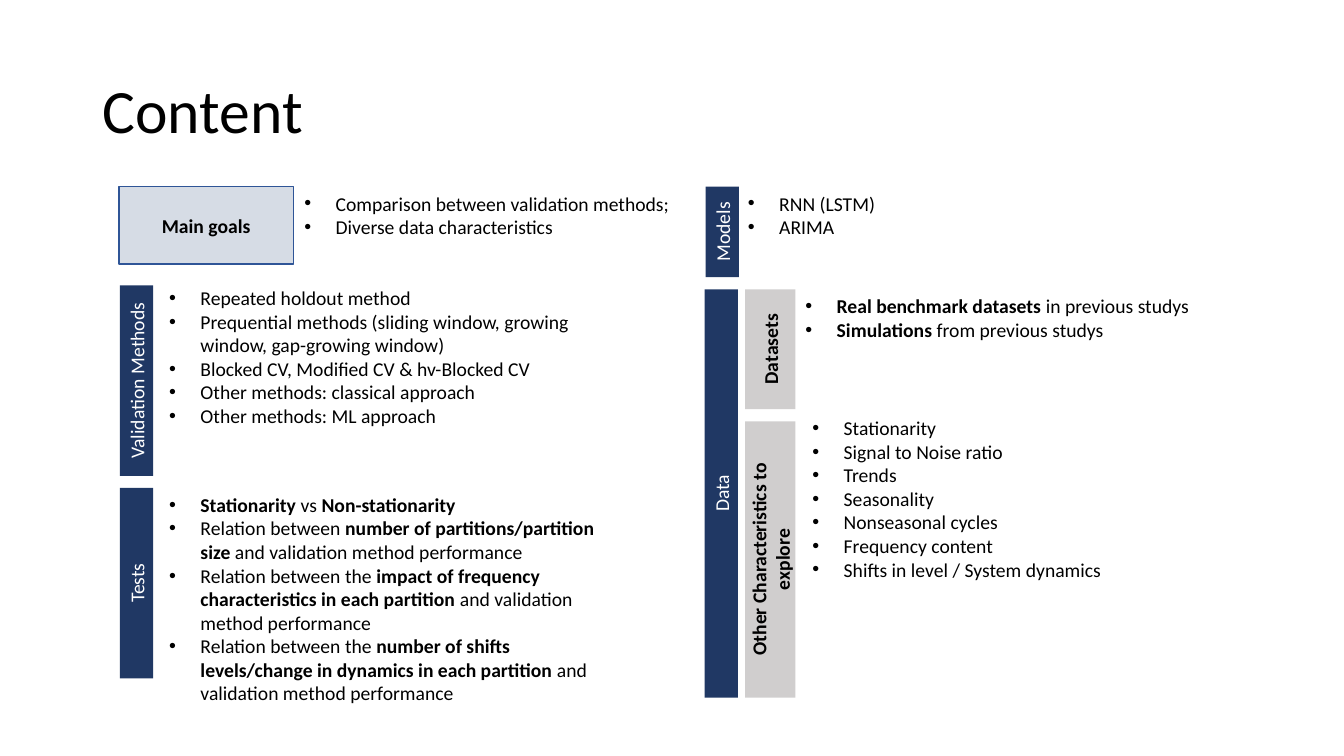
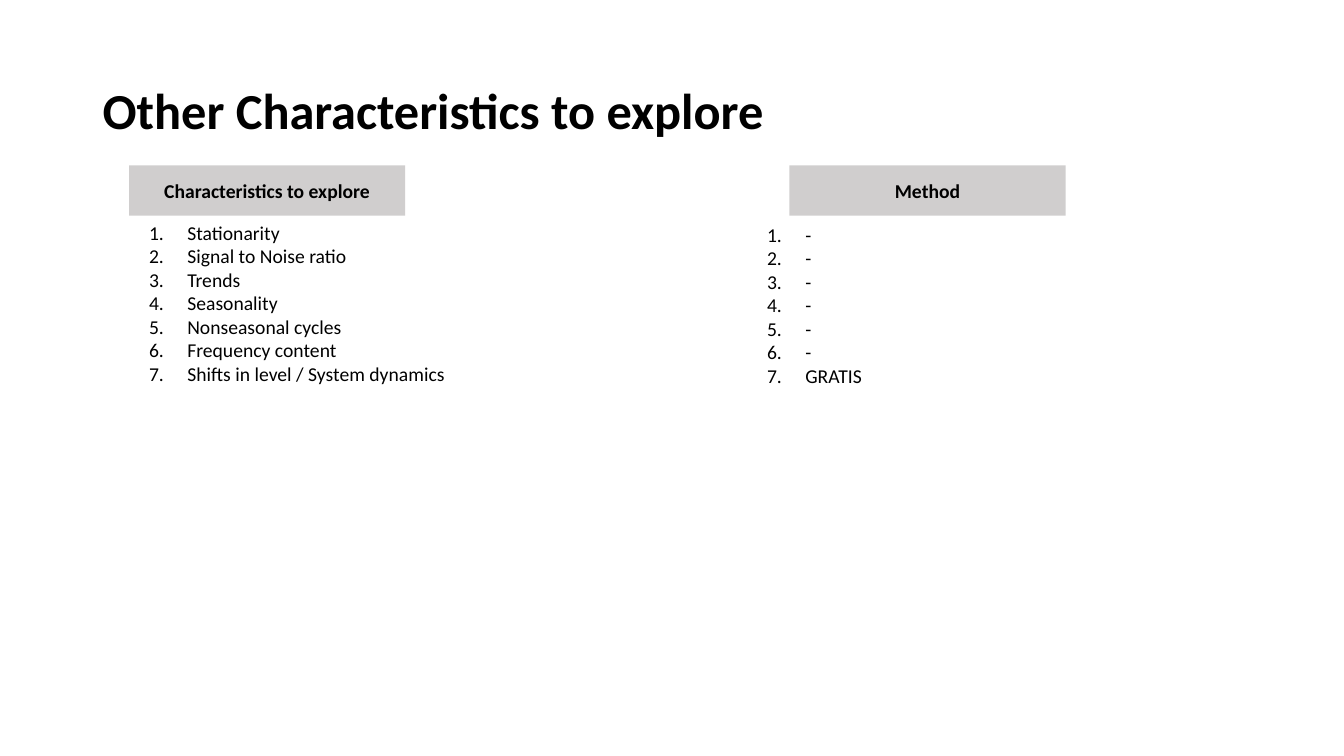
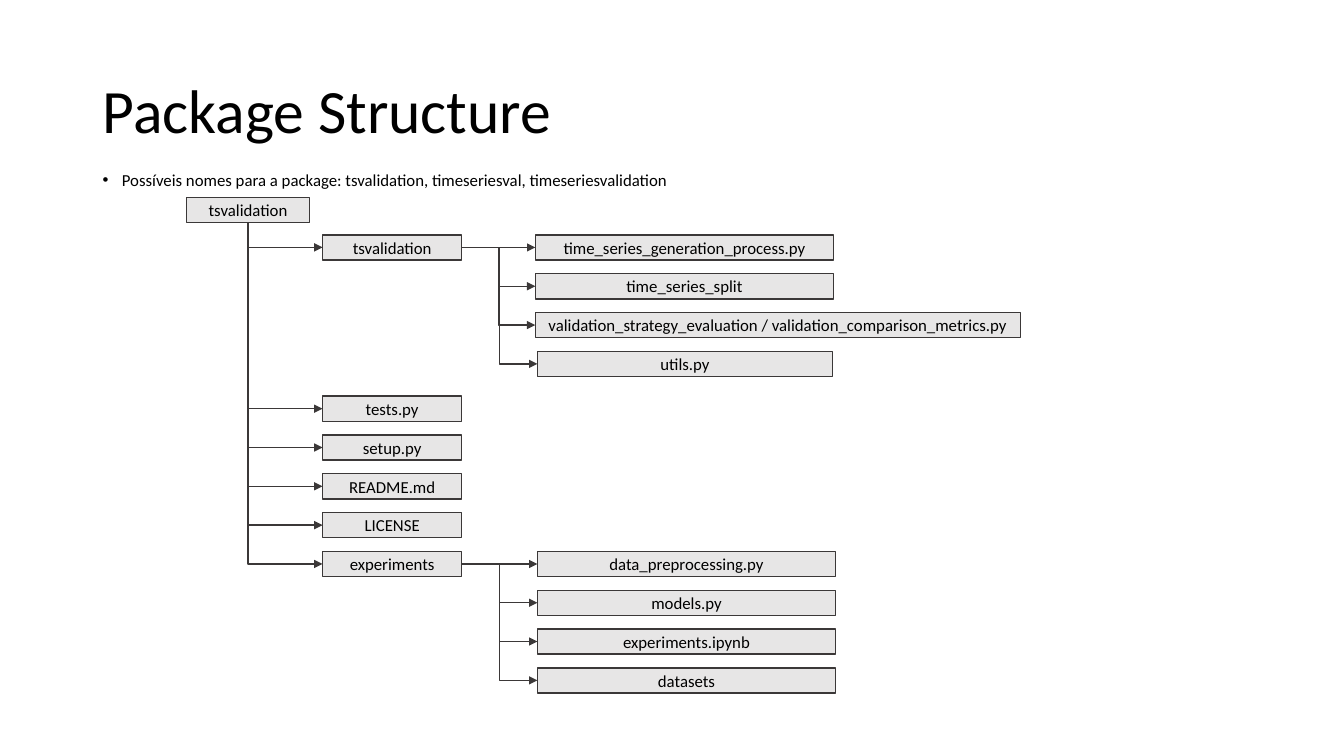
"""Build three slides on time series validation: content, characteristics and package structure."""
import pptx
import pptx.dml.color
import pptx.enum.shapes
import pptx.enum.text
import pptx.oxml.ns
import pptx.util
from lxml import etree

Inches = pptx.util.Inches
qn = pptx.oxml.ns.qn
CONNECTOR = pptx.enum.shapes.MSO_CONNECTOR
FONT = "Calibri"
BLACK, WHITE, NAVY = "000000", "FFFFFF", "203864"
PALE_BLUE, BLUE = "D6DCE5", "2F5597"
GRAY, PALE_GRAY, DARK_GRAY = "D0CECE", "E7E6E6", "3B3838"
TITLE = dict(x=0.92, y=0.4, w=11.5, h=1.45, size=44, middle=True, spacing=0.9)


def paint(target, color):
    """Give a fill or line format one solid colour."""
    target.solid()
    target.fore_color.rgb = pptx.dml.color.RGBColor.from_string(color)


def add_text(s, text, x, y, w, h, size=14, color=BLACK, fill=None, line=None,
             vertical=False, bullet=None, indent=0.31, middle=False, spacing=None):
    """Add a box of text lines; ** marks the start and end of bold."""
    if vertical:
        x, y, w, h = x + (w - h) / 2, y + (h - w) / 2, h, w
    box = Inches(x), Inches(y), Inches(w), Inches(h)
    if fill:
        sp = s.shapes.add_shape(pptx.enum.shapes.MSO_SHAPE.RECTANGLE, *box)
        sp.shadow.inherit = False
        paint(sp.fill, fill)
        if line:
            paint(sp.line.fill, line)
            sp.line.width = pptx.util.Pt(1)
        else:
            sp.line.fill.background()
    else:
        sp = s.shapes.add_textbox(*box)
    sp.rotation = 270 if vertical else 0
    tf = sp.text_frame
    tf.word_wrap = True
    anchor = pptx.enum.text.MSO_ANCHOR
    tf.vertical_anchor = anchor.MIDDLE if fill or middle else anchor.TOP
    for i, content in enumerate(text.split("\n")):
        p = tf.add_paragraph() if i else tf.paragraphs[0]
        align = pptx.enum.text.PP_ALIGN
        p.alignment = align.CENTER if fill else align.LEFT
        if spacing:
            p.line_spacing = spacing
        if bullet:
            pPr = p._p.get_or_add_pPr()
            pPr.set("marL", str(Inches(indent)))
            pPr.set("indent", str(-Inches(indent)))
            if bullet == "1.":
                etree.SubElement(pPr, qn("a:buAutoNum"), type="arabicPeriod")
            else:
                etree.SubElement(pPr, qn("a:buFont"), typeface="Arial")
                etree.SubElement(pPr, qn("a:buChar"), char=bullet)
        for j, part in enumerate(content.split("**")):
            if part:
                r = p.add_run()
                r.text = part
                r.font.name = FONT
                r.font.size = pptx.util.Pt(size)
                r.font.bold = j % 2 == 1
                paint(r.font.fill, color)
    return sp


prs = pptx.Presentation()
prs.slide_width, prs.slide_height = Inches(13.33), Inches(7.5)
blank = prs.slide_layouts[6]
characteristics = """Stationarity
Signal to Noise ratio
Trends
Seasonality
Nonseasonal cycles
Frequency content
Shifts in level / System dynamics"""

s = prs.slides.add_slide(blank)
add_text(s, "Content", **TITLE)
add_text(s, "**Main goals**", 1.18, 1.85, 1.73, 0.77, fill=PALE_BLUE, line=BLUE)
for label, x, y, h in [
    ("Validation Methods", 1.19, 2.83, 1.89),
    ("Tests", 1.19, 4.84, 1.89),
    ("Models", 7, 1.85, 0.9),
    ("Data", 6.99, 2.87, 4.05),
]:
    add_text(s, label, x, y, 0.33, h, color=WHITE, fill=NAVY, vertical=True)
for label, y, h in [
    ("**Datasets**", 2.87, 1.19),
    ("**Other Characteristics to explore**", 4.18, 2.74),
]:
    add_text(s, label, 7.39, y, 0.5, h, fill=GRAY, vertical=True)

goals = "Comparison between validation methods;\nDiverse data characteristics"
methods = """Repeated holdout method
Prequential methods (sliding window, growing window, gap-growing window)
Blocked CV, Modified CV & hv-Blocked CV
Other methods: classical approach
Other methods: ML approach"""
tests = """**Stationarity** vs **Non-stationarity**
Relation between **number of partitions/partition size **and validation method performance
Relation between the **impact of frequency characteristics in each partition **and validation method performance
Relation between the **number of shifts levels/change in dynamics in each partition** and validation method performance"""
datasets = """**Real benchmark datasets **in previous studys
**Simulations** from previous studys"""
for text, x, y, w, h in [
    (goals, 2.92, 1.85, 3.9, 0.57),
    (methods, 1.58, 2.79, 4.71, 1.51),
    (tests, 1.58, 4.84, 4.71, 2.22),
    ("RNN (LSTM)\nARIMA", 7.32, 1.85, 4.71, 0.57),
    (datasets, 7.89, 2.87, 4.71, 0.57),
    (characteristics, 7.96, 4.08, 4.71, 1.75),
]:
    add_text(s, text, x, y, w, h, bullet="•")

s = prs.slides.add_slide(blank)
add_text(s, "**Other Characteristics to explore**", **{**TITLE, "size": 36})
results = "\n".join(["-"] * 6 + ["GRATIS"])
for heading, heading_x, text, x, y, w in [
    ("**Characteristics to explore**", 1.28, characteristics, 1.38, 2.14, 6.13),
    ("**Method**", 7.83, results, 7.51, 2.16, 5.8),
]:
    add_text(s, heading, heading_x, 1.64, 2.74, 0.5, fill=GRAY)
    add_text(s, text, x, y, w, 1.75, bullet="1.", indent=0.38)

s = prs.slides.add_slide(blank)
add_text(s, "Package Structure", **TITLE)
add_text(s, "Possíveis nomes para a package: tsvalidation, timeseriesval, timeseriesvalidation",
         0.92, 1.63, 5.98, 0.3, size=12, bullet="•", indent=0.19)
node = dict(h=0.25, size=12, fill=PALE_GRAY, line=DARK_GRAY)
pitch = 0.385
root = add_text(s, "tsvalidation", 1.85, 1.96, 1.22, **node)
package = add_text(s, "tsvalidation", 3.2, 2.33, 1.38, **node)
files = [add_text(s, name, 3.2, 3.93 + i * pitch, 1.38, **node) for i, name in enumerate(
    ["tests.py", "setup.py", "README.md", "LICENSE", "experiments"])]
modules = [add_text(s, name, x, 2.33 + i * pitch, w, **node) for i, (name, x, w) in enumerate([
    ("time_series_generation_process.py", 5.31, 2.96),
    ("time_series_split", 5.31, 2.96),
    ("validation_strategy_evaluation / validation_comparison_metrics.py", 5.31, 4.81),
    ("utils.py", 5.33, 2.93)])]
experiments = [add_text(s, name, 5.33, 5.47 + i * pitch, 2.96, **node) for i, name in enumerate(
    ["data_preprocessing.py", "models.py", "experiments.ipynb", "datasets"])]

for parent, children in [(root, [package] + files), (package, modules), (files[-1], experiments)]:
    for child in children:
        straight = parent.top == child.top
        c = s.shapes.add_connector(CONNECTOR.STRAIGHT if straight else CONNECTOR.ELBOW, 0, 0, 0, 0)
        c.begin_connect(parent, 2 if parent is root else 3)
        c.end_connect(child, 1)
        spPr = c._element.spPr
        if parent is root:
            x, y, w, h = c.left, c.top, c.width, c.height
            c.left, c.top = x + (w - h) // 2, y + (h - w) // 2
            c.width, c.height = h, w
            xfrm = spPr.find(qn("a:xfrm"))
            xfrm.set("rot", "16200000")
            xfrm.set("flipH", "1")
            spPr.find(qn("a:prstGeom")).set("prst", "bentConnector2")
        paint(c.line.fill, DARK_GRAY)
        c.line.width = pptx.util.Pt(1)
        etree.SubElement(spPr.find(qn("a:ln")), qn("a:tailEnd"), type="triangle")
        etree.SubElement(spPr, qn("a:effectLst"))

prs.save("out.pptx")
